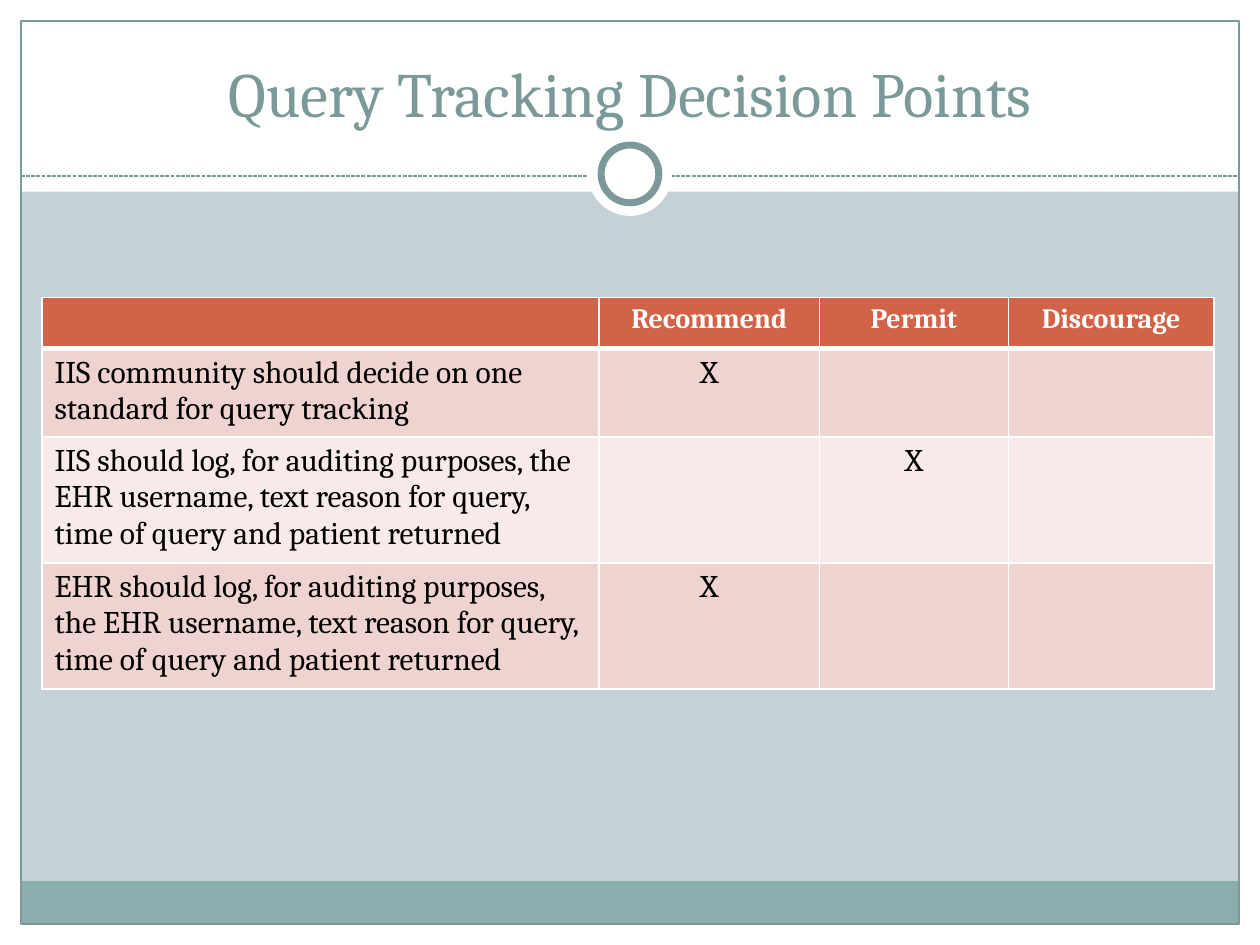
from dataclasses import dataclass
from lxml import etree
from pptx import Presentation
from pptx.dml.color import RGBColor
from pptx.enum.dml import MSO_LINE_DASH_STYLE as Dash
from pptx.enum.shapes import MSO_CONNECTOR as Connector, MSO_SHAPE as Shape
from pptx.enum.text import MSO_ANCHOR as Anchor, PP_ALIGN as Align
from pptx.oxml.ns import qn
from pptx.util import Pt


@dataclass(frozen=True)
class Theme:
    font: str = "Cambria"
    background: str = "C5D1D7"
    white: str = "FFFFFF"
    black: str = "000000"
    accent: str = "7C999A"
    footer: str = "8CADAE"
    header: str = "D16349"
    bands: tuple = ("EED3D0", "F7EAE9")
    title_size: float = 36
    header_size: float = 16
    body_size: float = 18
    thin: float = 0.75
    ring: float = 4


THEME = Theme()
WIDTH, HEIGHT, MARGIN = 720, 540, 12
BANNER_HEIGHT, FOOTER_HEIGHT = 109.5, 24.5
COLUMN_WIDTHS = (318.25, 126, 108, 117.5)
ROW_HEIGHTS = (29.2, 48.6, 69.7, 69.7)
ROWS = (
    ("", "Recommend", "Permit", "Discourage"),
    ("IIS community should decide on one standard for query tracking", "X", "", ""),
    ("IIS should log, for auditing purposes, the EHR username, text reason "
     "for query, time of query and patient returned", "", "X", ""),
    ("EHR should log, for auditing purposes, the EHR username, text reason "
     "for query, time of query and patient returned", "X", "", ""),
)


def color(value):
    return RGBColor.from_string(value)


def add_shape(slide, kind, box, fill=None, line=None, width=THEME.thin):
    shape = slide.shapes.add_shape(kind, *map(Pt, box))
    shape.shadow.inherit = False
    if fill:
        shape.fill.solid()
        shape.fill.fore_color.rgb = color(fill)
    else:
        shape.fill.background()
    if line:
        shape.line.color.rgb = color(line)
        shape.line.width = Pt(width)
    else:
        shape.line.fill.background()
    return shape


def style_paragraph(paragraph, size, text_color, align, bold=False):
    paragraph.alignment = align
    font = paragraph.font
    font.name = THEME.font
    font.size = Pt(size)
    font.bold = bold
    font.color.rgb = color(text_color)


def add_frame(slide, box):
    left, top, width, height = box
    inner_width, inner_height = width - 2 * MARGIN, height - 2 * MARGIN
    bottom = top + height - MARGIN
    for edge in (
        (left, bottom, width, MARGIN),
        (left, top, width, BANNER_HEIGHT),
        (left, top, MARGIN, height),
        (left + width - MARGIN, top, MARGIN, height),
    ):
        add_shape(slide, Shape.RECTANGLE, edge, THEME.white)
    add_shape(slide, Shape.RECTANGLE,
              (left + MARGIN, bottom - FOOTER_HEIGHT, inner_width, FOOTER_HEIGHT), THEME.footer)
    add_shape(slide, Shape.RECTANGLE,
              (left + MARGIN, top + MARGIN, inner_width, inner_height), line=THEME.accent)


def add_divider(slide, box):
    left, top, width, height = box
    line_top = top + 25.2
    divider = slide.shapes.add_connector(
        Connector.STRAIGHT, Pt(left), Pt(line_top), Pt(left + width), Pt(line_top))
    divider.line.color.rgb = color(THEME.accent)
    divider.line.width = Pt(THEME.thin)
    divider.line.dash_style = Dash.SQUARE_DOT
    properties = divider.element.find(qn("p:spPr"))
    etree.SubElement(properties, qn("a:effectLst"))
    center_x, center_y = left + width / 2, top + height / 2
    for diameter, line in ((height, None), (33, THEME.accent)):
        circle = (center_x - diameter / 2, center_y - diameter / 2, diameter, diameter)
        add_shape(slide, Shape.OVAL, circle, THEME.white, line, THEME.ring)


def add_title(slide, box, text):
    frame = slide.shapes.add_textbox(*map(Pt, box)).text_frame
    frame.word_wrap = True
    frame.vertical_anchor = Anchor.BOTTOM
    paragraph = frame.paragraphs[0]
    paragraph.text = text
    style_paragraph(paragraph, THEME.title_size, THEME.accent, Align.CENTER)


def add_borders(cell, bottom_width):
    properties = cell._tc.get_or_add_tcPr()
    widths = {"a:lnL": 1, "a:lnR": 1, "a:lnT": 1, "a:lnB": bottom_width}
    for position, (tag, width) in enumerate(widths.items()):
        border = etree.Element(qn(tag), w=str(Pt(width)))
        fill = etree.SubElement(border, qn("a:solidFill"))
        etree.SubElement(fill, qn("a:srgbClr"), val=THEME.white)
        properties.insert(position, border)


def add_decision_table(slide, box):
    table = slide.shapes.add_table(len(ROWS), len(COLUMN_WIDTHS), *map(Pt, box)).table
    for column, width in zip(table.columns, COLUMN_WIDTHS):
        column.width = Pt(width)
    for row_index, (texts, height) in enumerate(zip(ROWS, ROW_HEIGHTS)):
        table.rows[row_index].height = Pt(height)
        is_header = row_index == 0
        fill = THEME.header if is_header else THEME.bands[(row_index - 1) % 2]
        size = THEME.header_size if is_header else THEME.body_size
        text_color = THEME.white if is_header else THEME.black
        for column_index, text in enumerate(texts):
            cell = table.cell(row_index, column_index)
            cell.fill.solid()
            cell.fill.fore_color.rgb = color(fill)
            paragraph = cell.text_frame.paragraphs[0]
            paragraph.text = text
            align = Align.CENTER if column_index else Align.LEFT
            style_paragraph(paragraph, size, text_color, align, is_header)
            add_borders(cell, 3 if is_header else 1)


def build_slide(presentation):
    slide = presentation.slides.add_slide(presentation.slide_layouts[6])
    slide.background.fill.solid()
    slide.background.fill.fore_color.rgb = color(THEME.background)
    add_frame(slide, (0, 0, WIDTH, HEIGHT))
    add_divider(slide, (MARGIN, 75.4, WIDTH - 2 * MARGIN, 48))
    add_title(slide, (24, 18, 672, 60), "Query Tracking Decision Points")
    add_decision_table(slide, (24, 170, sum(COLUMN_WIDTHS), sum(ROW_HEIGHTS)))


presentation = Presentation()
presentation.slide_width, presentation.slide_height = Pt(WIDTH), Pt(HEIGHT)
build_slide(presentation)
presentation.save("out.pptx")
